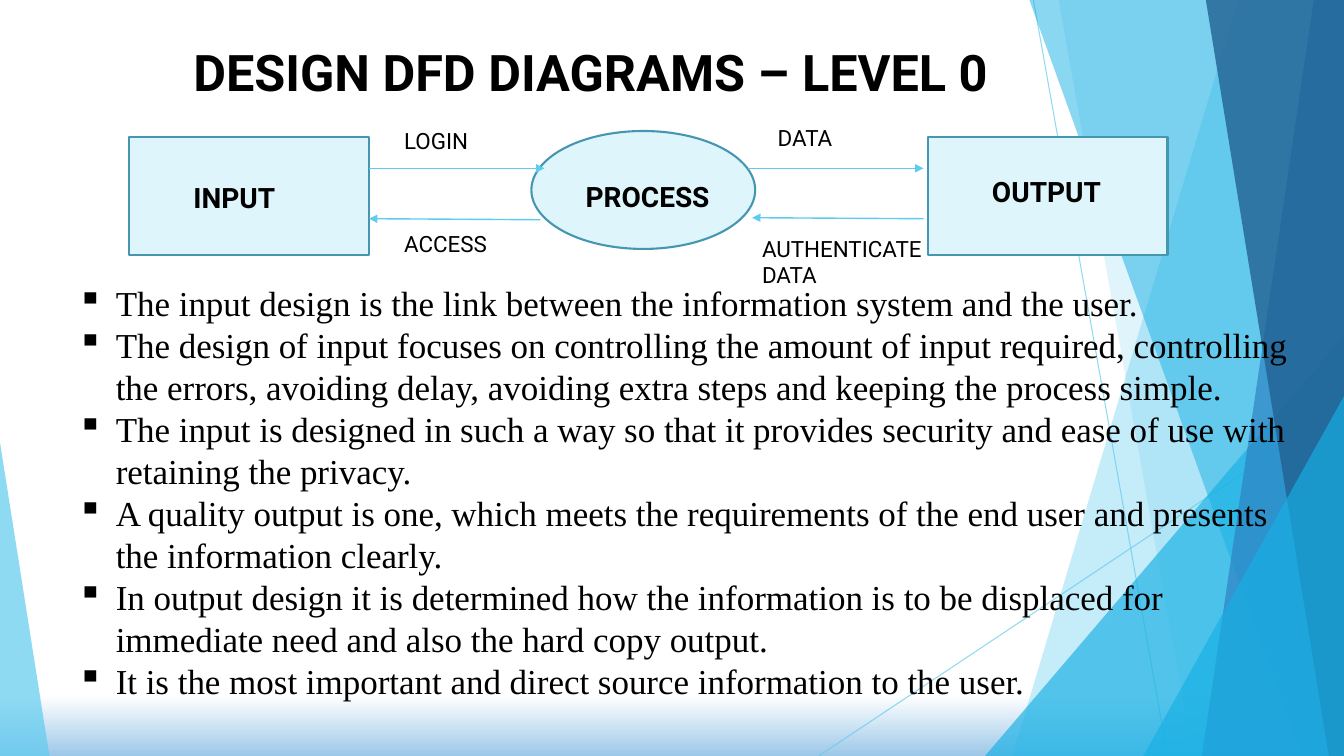
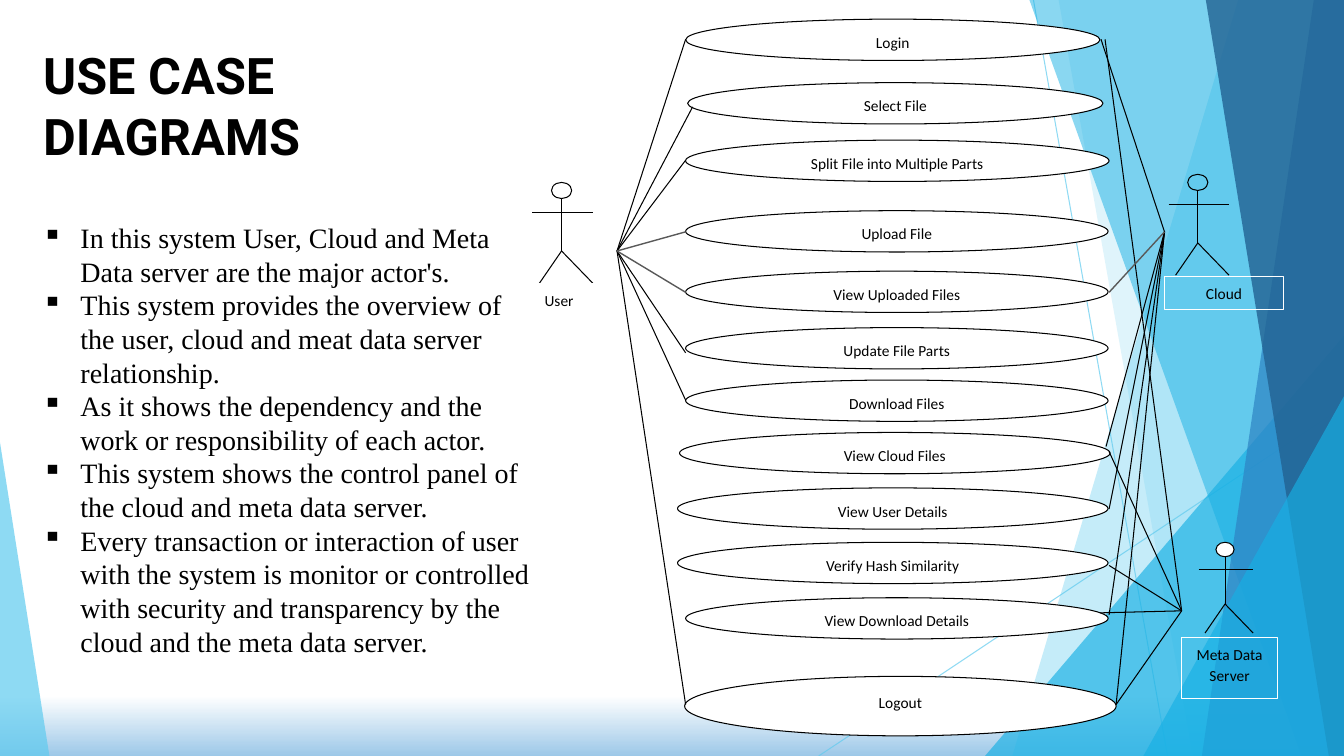
from lxml import etree
from pptx import Presentation
from pptx import util as u
from pptx.dml import color
from pptx.enum import shapes, text
from pptx.oxml import ns

BLACK, WHITE, GRAY = "000000", "FFFFFF", "595959"
SKY, CYAN, BLUE, NAVY = "5FCBEF", "17B0E4", "2E83C3", "226292"
PALE, TEAL = "DFF5FC", "4696B1"
HEAD, BODY, LABEL = "Roboto", "Times New Roman", "Calibri"
WIDE, HIGH = 13.33, 7.5
RECT = shapes.MSO_SHAPE.RECTANGLE
OVAL = shapes.MSO_SHAPE.OVAL
WEDGE = shapes.MSO_SHAPE.ISOSCELES_TRIANGLE


def rgb(code):
    return color.RGBColor.from_string(code)


def tag(parent, name, **attrs):
    return etree.SubElement(parent, ns.qn(name), attrs)


def fade(shape, share):
    """Set the opacity, in percent, of the shape's colours."""
    for node in shape.element.iter(ns.qn("a:srgbClr")):
        tag(node, "a:alpha", val=str(share * 1000))


def paint(shape, fill=None, line=None, width=0.75):
    shape.shadow.inherit = False
    if fill:
        shape.fill.solid()
        shape.fill.fore_color.rgb = rgb(fill)
    else:
        shape.fill.background()
    if line:
        shape.line.color.rgb = rgb(line)
        shape.line.width = u.Pt(width)
    else:
        shape.line.fill.background()


def draw(slide, kind, box, **style):
    shape = slide.shapes.add_shape(kind, *map(u.Inches, box))
    paint(shape, **style)
    return shape


def join(slide, start, end, ink=BLACK, width=0.75, arrow=False):
    line = slide.shapes.add_connector(
        shapes.MSO_CONNECTOR.STRAIGHT, *map(u.Inches, (*start, *end)))
    line.line.color.rgb = rgb(ink)
    line.line.width = u.Pt(width)
    props = line.element.spPr
    if arrow:
        tag(props.find(ns.qn("a:ln")), "a:tailEnd", type="triangle")
    tag(props, "a:effectLst")
    return line


def put(para, words, size, font, bold=False):
    run = para.add_run()
    run.text = words
    run.font.size = u.Pt(size)
    run.font.name = font
    run.font.bold = bold
    run.font.color.rgb = rgb(BLACK)


def frame(slide, box):
    area = slide.shapes.add_textbox(*map(u.Inches, box)).text_frame
    area.word_wrap = True
    return area


def note(slide, box, words, size=16, bold=False):
    put(frame(slide, box).paragraphs[0], words, size, HEAD, bold)


def title(slide, box, *lines):
    para = frame(slide, box).paragraphs[0]
    for i, words in enumerate(lines):
        if i:
            para.add_line_break()
        put(para, words, 36, HEAD, True)


def bullets(slide, box, size, items):
    area = frame(slide, box)
    for i, words in enumerate(items):
        para = area.add_paragraph() if i else area.paragraphs[0]
        props = para._p.get_or_add_pPr()
        props.set("marL", str(u.Inches(0.38)))
        props.set("indent", str(-u.Inches(0.38)))
        tag(props, "a:buChar", char="▪")
        put(para, words, size, BODY)


def label(shape, words):
    area = shape.text_frame
    area.word_wrap = True
    area.vertical_anchor = text.MSO_ANCHOR.TOP
    para = area.paragraphs[0]
    para.alignment = text.PP_ALIGN.CENTER
    para.line_spacing = 1.15
    para.space_after = u.Pt(10)
    put(para, words, 11, LABEL)


def band(slide, top, foot, ink, share, right=WIDE):
    """Fill from a slanted edge (x at top, x at foot) to the right side."""
    pen = slide.shapes.build_freeform(u.Inches(top), 0)
    pen.add_line_segments([(u.Inches(x), u.Inches(y)) for x, y in
                           ((right, 0), (right, HIGH), (foot, HIGH))])
    shape = pen.convert_to_shape()
    paint(shape, ink)
    fade(shape, share)


def wedge(slide, left, top, width, tip, ink, share):
    shape = draw(slide, WEDGE, (left, top, width, HIGH - top), fill=ink)
    shape.adjustments[0] = tip
    fade(shape, share)


def base(deck):
    """Add a slide with the shared background and facets."""
    slide = deck.slides.add_slide(deck.slide_layouts[6])
    fill = slide.background.fill
    fill.gradient()
    fill.gradient_angle = 270
    for stop, place, ink in zip(fill.gradient_stops, (0.92, 1), (WHITE, "9DC8E8")):
        stop.position = place
        stop.color.rgb = rgb(ink)
    for start, end in (((10.25, 0), (11.58, HIGH)), ((WIDE, 4.03), (8.12, HIGH))):
        fade(join(slide, start, end, SKY), 70)
    band(slide, 12.28, 10.04, SKY, 36)
    band(slide, 10.5, 11.83, SKY, 20)
    wedge(slide, 9.77, 3.33, 3.56, 1, CYAN, 66)
    band(slide, 10.21, 12.91, CYAN, 50)
    band(slide, 13.03, 11.92, BLUE, 70)
    band(slide, 11.96, 13.18, NAVY, 80)
    wedge(slide, 11.34, 3.93, 1.99, 1, CYAN, 66)
    wedge(slide, 0, 4.39, 0.49, 0, SKY, 70)
    return slide


def flow(slide, x, y):
    """Draw the data flow with its top left corner at x, y."""
    nodes = (
        (RECT, (0, 0.06, 2.38), "INPUT", (0.54, 0.44)),
        (RECT, (7.92, 0.06, 2.38), "OUTPUT", (8.46, 0.38)),
        (OVAL, (3.99, 0, 2.22), "PROCESS", (4.43, 0.43)),
    )
    for kind, (dx, dy, width), words, (tx, ty) in nodes:
        draw(slide, kind, (x + dx, y + dy, width, 1.17),
             fill=PALE, line=TEAL, width=1.5)
        note(slide, (x + tx, y + ty, 1.5, 0.44), words, 20, True)
    arrows = (
        (2.38, 0.37, 4.12, 0.37), (6.14, 0.37, 7.88, 0.37),
        (4.08, 0.88, 2.38, 0.87), (7.88, 0.87, 6.18, 0.86),
    )
    for x1, y1, x2, y2 in arrows:
        join(slide, (x + x1, y + y1), (x + x2, y + y2), SKY, 1, True)
    notes = (
        ("LOGIN", 2.63, -0.09), (" DATA", 6.28, -0.12),
        ("ACCESS", 2.63, 0.93), ("AUTHENTICATE DATA", 6.18, 0.98),
    )
    for words, dx, dy in notes:
        note(slide, (x + dx, y + dy, 1.99, 0.37), words)


def actor(slide, x, y, size=1, fill=None):
    """Draw a stick figure centred on x, with its head's top at y."""
    def at(dx, dy):
        return x + dx * size, y + dy * size

    draw(slide, OVAL, (*at(-0.1, 0), 0.2 * size, 0.16 * size),
         fill=fill, line=BLACK)
    hip = at(0, 0.68)
    for start, end in (
        (at(0, 0.16), hip), (at(-0.29, 0.3), at(0.31, 0.3)),
        (hip, at(-0.22, 1)), (hip, at(0.31, 1)),
    ):
        join(slide, start, end)


def cases(slide):
    ovals = (
        ("Login", 6.8, 0.19, 4.11), ("Select File", 6.82, 0.82, 4.12),
        ("Split File into Multiple Parts", 6.8, 1.39, 4.2),
        ("Upload File", 6.8, 2.09, 4.19),
        ("View Uploaded Files", 6.8, 2.69, 4.19),
        ("Update File Parts", 6.8, 3.25, 4.19),
        ("Download Files", 6.8, 3.77, 4.19),
        ("View Cloud Files", 6.74, 4.29, 4.27),
        ("View User Details", 6.72, 4.84, 4.27),
        ("Verify Hash Similarity", 6.72, 5.38, 4.27),
        ("View Download Details", 6.8, 5.93, 4.19),
        ("Logout", 6.79, 6.71, 4.28),
    )
    for words, left, top, width in ovals:
        high = 0.59 if words == "Logout" else 0.41
        label(draw(slide, OVAL, (left, top, width, high),
                   fill=WHITE, line=BLACK), words)


def links(slide):
    """Fan lines out from each actor's hub to its use cases."""
    user, cloud, server = (6.12, 2.49), (11.55, 2.3), (11.72, 6.06)
    fans = (
        (user, ((6.8, 0.39), (6.87, 1.06), (6.8, 1.59), (6.8, 3.5),
                (6.8, 3.97), (6.8, 6.99))),
        (cloud, ((10.92, 0.39), (10.97, 4.43), (11, 5.05), (11, 6.1),
                 (11.07, 6.99))),
        (server, ((10.96, 0.39), (11, 4.48), (11, 5.61), (10.91, 6.08),
                  (11.07, 6.99))),
    )
    for hub, ends in fans:
        for end in ends:
            join(slide, hub, end)
    for hub, end in ((user, (6.8, 2.3)), (user, (6.8, 2.9)), (cloud, (11, 2.9))):
        join(slide, hub, end, GRAY, 1)


def level(deck):
    slide = base(deck)
    flow(slide, 1.28, 1.3)
    title(slide, (1.82, 0.36, 8.5, 0.71), "DESIGN DFD DIAGRAMS – LEVEL 0")
    bullets(slide, (0.67, 2.74, 12.2, 4.73), 25, (
        "The input design is the link between the information system and the user.",
        "The design of input focuses on controlling the amount of input required, "
        "controlling the errors, avoiding delay, avoiding extra steps and keeping "
        "the process simple.",
        "The input is designed in such a way so that it provides security and ease "
        "of use with retaining the privacy.",
        "A quality output is one, which meets the requirements of the end user and "
        "presents the information clearly.",
        "In output design it is determined how the information is to be displaced "
        "for immediate need and also the hard copy output.",
        "It is the most important and direct source information to the user.",
    ))


def usage(deck):
    slide = base(deck)
    cases(slide)
    actor(slide, 5.57, 1.81, fill=WHITE)
    actor(slide, 11.88, 1.73)
    actor(slide, 12.15, 5.38, 0.9, WHITE)
    for words, box, fill in (
        ("User", (5.04, 2.81, 1.01, 0.27), WHITE),
        ("Cloud", (11.55, 2.74, 1.18, 0.33), None),
        ("Meta Data Server", (11.72, 6.32, 0.95, 0.61), None),
    ):
        label(draw(slide, RECT, box, fill=fill, line=WHITE), words)
    links(slide)
    title(slide, (0.33, 0.39, 6.67, 1.31), "USE CASE ", "DIAGRAMS")
    bullets(slide, (0.32, 2.14, 5.06, 4.48), 20, (
        "In this system User, Cloud and Meta Data server are the major actor's.",
        "This system provides the overview of the user, cloud and meat data server "
        "relationship.",
        "As it shows the dependency and the work or responsibility of each actor.",
        "This system shows the control panel of the cloud and meta data server.",
        "Every transaction or interaction of user with the system is monitor or "
        "controlled with security and transparency by the cloud and the meta data "
        "server.",
    ))


def main():
    deck = Presentation()
    deck.slide_width = u.Inches(WIDE)
    deck.slide_height = u.Inches(HIGH)
    level(deck)
    usage(deck)
    deck.save("out.pptx")


if __name__ == "__main__":
    main()
